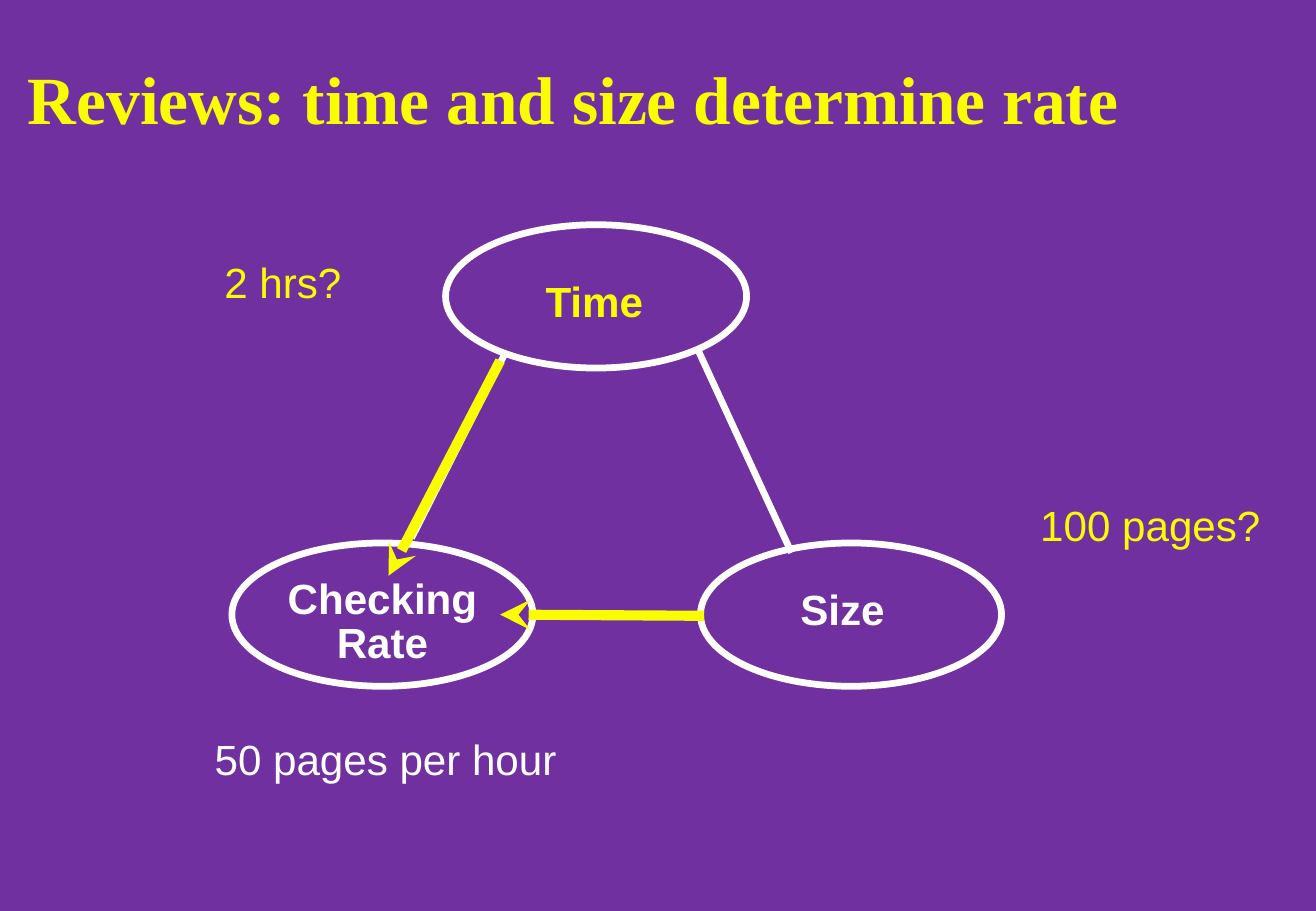
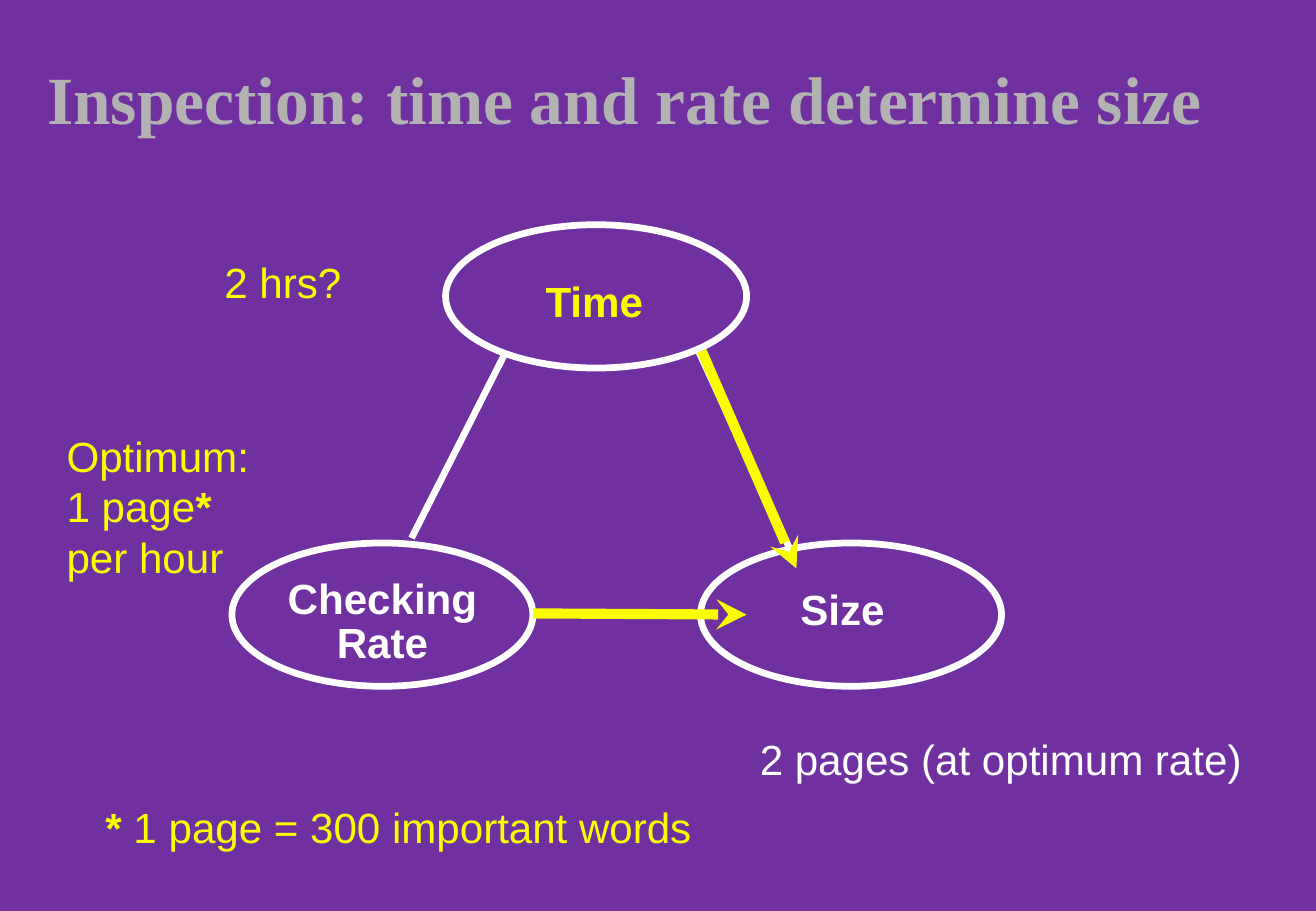
from dataclasses import dataclass
from typing import NamedTuple

from lxml import etree
from pptx import Presentation
from pptx.dml.color import RGBColor
from pptx.enum.shapes import MSO_CONNECTOR, MSO_SHAPE
from pptx.enum.text import MSO_AUTO_SIZE, PP_ALIGN
from pptx.oxml.ns import qn
from pptx.presentation import Presentation as Deck
from pptx.slide import Slide
from pptx.util import Pt

OVAL = MSO_SHAPE.OVAL
STRAIGHT = MSO_CONNECTOR.STRAIGHT
GROW = MSO_AUTO_SIZE.SHAPE_TO_FIT_TEXT
LEFT, CENTER = PP_ALIGN.LEFT, PP_ALIGN.CENTER

PURPLE = RGBColor(0x70, 0x30, 0xA0)
YELLOW = RGBColor(0xFA, 0xFD, 0x00)
WHITE = RGBColor(0xFF, 0xFF, 0xFF)
GREY = RGBColor(0xB2, 0xB2, 0xB2)

SERIF, SANS = "Times New Roman", "Arial"
OVAL_W, OVAL_H = 178.56, 84.96
THIN, THICK = 4, 6


class Run(NamedTuple):
    text: str
    bold: bool = False


class Style(NamedTuple):
    font: str
    size: float
    pad_x: float
    pad_y: float
    wrap: bool = False
    align: PP_ALIGN = LEFT
    space: float = 1.0


class Line(NamedTuple):
    x1: float
    y1: float
    x2: float
    y2: float


@dataclass(frozen=True)
class Text:
    x: float
    y: float
    w: float
    h: float
    color: RGBColor
    rows: list[list[Run]]
    style: Style


@dataclass(frozen=True)
class Page:
    title: Text
    arrows: list[Line]
    notes: list[Text]


TITLE = Style(SERIF, 40, 5.04, 2.16, wrap=True)
LABEL = Style(SANS, 25, 5.04, 2.16, align=CENTER, space=0.87)
NOTE = Style(SANS, 25, 7.2, 3.6)
FOOT = NOTE._replace(wrap=True)

OVALS = [(264.24, 133.2), (137.52, 321.84), (415.44, 321.84)]
EDGES = [
    Line(300.24, 208.08, 244.08, 318.96),
    Line(318.96, 364.32, 413.28, 364.32),
    Line(469.44, 327.6, 413.28, 205.92),
]
LABELS = [
    Text(318.24, 164.88, 68.4, 30.24, YELLOW, [[Run("Time", True)]], LABEL),
    Text(156.8, 341.28, 140, 56.16, WHITE,
         [[Run("Checking", True)], [Run("Rate", True)]], LABEL),
    Text(469.44, 347.76, 60.48, 30.24, WHITE, [[Run("Size", True)]], LABEL),
]
HOURS = Text(126, 148.32, 84.24, 37.44, YELLOW, [[Run("2 hrs?")]], NOTE)

PAGES = [
    Page(
        Text(11.52, 31.68, 664.56, 52.56, YELLOW,
             [[Run("Reviews: time and size determine rate", True)]], TITLE),
        [Line(296.64, 213.84, 230.4, 341.28), Line(417.6, 365.04, 296.64, 364.32)],
        [
            HOURS,
            Text(609.84, 292.32, 145.44, 37.44, YELLOW, [[Run("100 pages?")]], NOTE),
            Text(120.24, 431.28, 217.44, 37.44, WHITE,
                 [[Run("50 pages per hour")]], NOTE),
        ],
    ),
    Page(
        Text(23.04, 31.68, 720, 52.56, GREY,
             [[Run("Inspection: time and rate determine size", True)]], TITLE),
        [Line(416.16, 208.08, 472.32, 336.96), Line(316.08, 363.6, 442.8, 364.32)],
        [
            HOURS,
            Text(32.4, 251.28, 123.12, 97.2, YELLOW,
                 [[Run("Optimum:")], [Run("1 page"), Run("*", True)],
                  [Run("per hour")]], NOTE),
            Text(443.52, 431.28, 300.96, 37.44, WHITE,
                 [[Run("2 pages (at optimum rate)")]], NOTE),
            Text(55.44, 471.6, 376.56, 37.44, YELLOW,
                 [[Run("*", True), Run(" 1 page = 300 important words")]], FOOT),
        ],
    ),
]


def add_text(slide: Slide, item: Text) -> None:
    style = item.style
    box = slide.shapes.add_textbox(Pt(item.x), Pt(item.y), Pt(item.w), Pt(item.h))
    frame = box.text_frame
    frame.word_wrap = style.wrap
    frame.auto_size = GROW
    frame.margin_left = frame.margin_right = Pt(style.pad_x)
    frame.margin_top = frame.margin_bottom = Pt(style.pad_y)
    for i, row in enumerate(item.rows):
        para = frame.add_paragraph() if i else frame.paragraphs[0]
        para.alignment = style.align
        para.line_spacing = style.space
        for part in row:
            run = para.add_run()
            run.text = part.text
            run.font.name = style.font
            run.font.size = Pt(style.size)
            run.font.bold = part.bold
            run.font.color.rgb = item.color


def add_oval(slide: Slide, x: float, y: float) -> None:
    oval = slide.shapes.add_shape(OVAL, Pt(x), Pt(y), Pt(OVAL_W), Pt(OVAL_H))
    oval.shadow.inherit = False
    oval.fill.background()
    oval.line.color.rgb = WHITE
    oval.line.width = Pt(THIN)


def add_line(slide: Slide, line: Line, color: RGBColor, width: float,
             arrow: bool = False) -> None:
    link = slide.shapes.add_connector(STRAIGHT, *(Pt(v) for v in line))
    link.line.color.rgb = color
    link.line.width = Pt(width)
    props = link._element.spPr
    if arrow:
        stroke = props.find(qn("a:ln"))
        etree.SubElement(stroke, qn("a:tailEnd"), type="stealth")
    etree.SubElement(props, qn("a:effectLst"))


def add_page(deck: Deck, page: Page) -> None:
    slide = deck.slides.add_slide(deck.slide_layouts[6])
    add_text(slide, page.title)
    for x, y in OVALS:
        add_oval(slide, x, y)
    for edge in EDGES:
        add_line(slide, edge, WHITE, THIN)
    for arrow in page.arrows:
        add_line(slide, arrow, YELLOW, THICK, arrow=True)
    for item in LABELS + page.notes:
        add_text(slide, item)


def main() -> None:
    deck = Presentation()
    deck.slide_width, deck.slide_height = Pt(780.48), Pt(540)
    fill = deck.slide_master.background.fill
    fill.solid()
    fill.fore_color.rgb = PURPLE
    for page in PAGES:
        add_page(deck, page)
    deck.save("out.pptx")


main()
